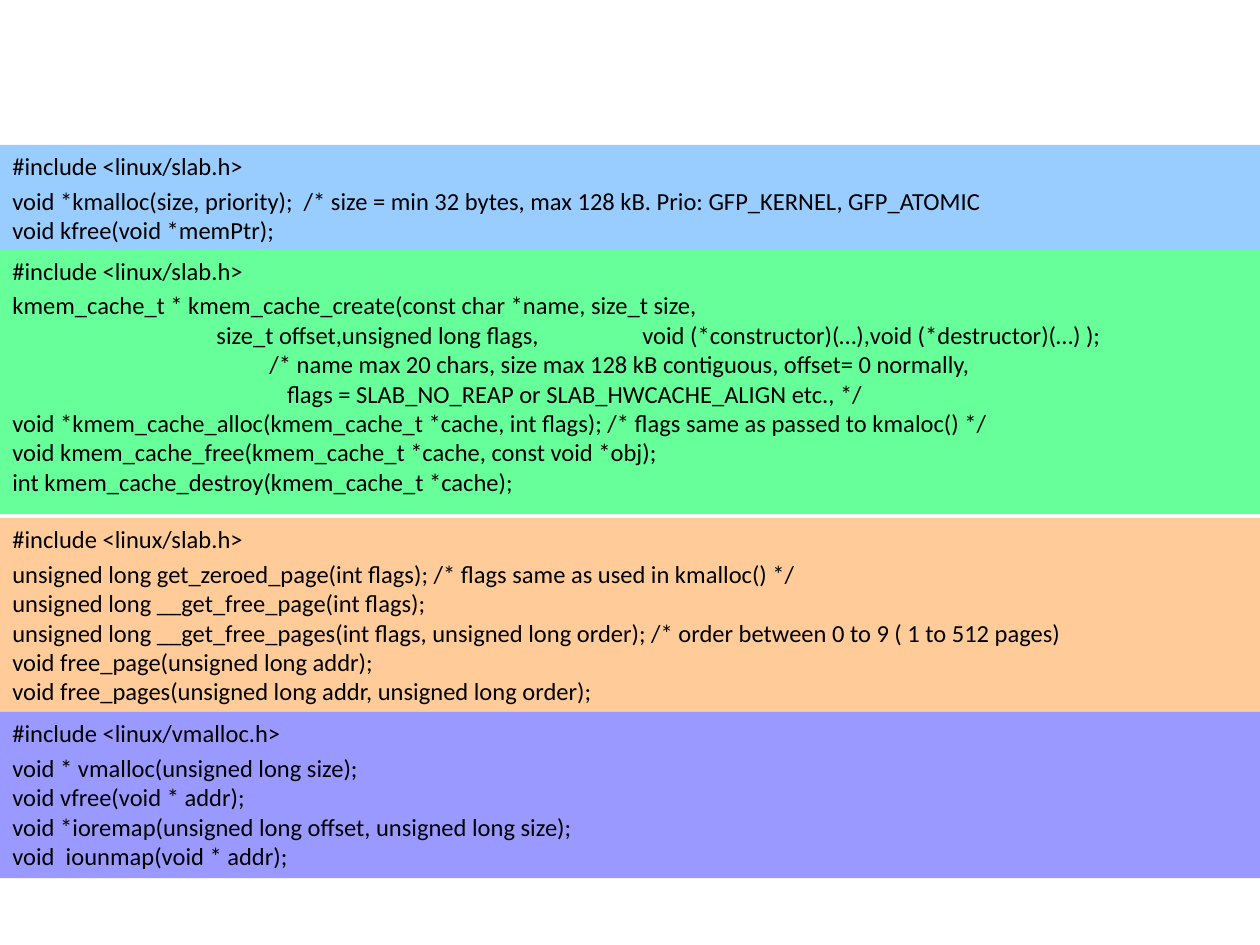
import pptx
import pptx.dml.color
import pptx.enum.shapes
import pptx.enum.text
import pptx.util
from lxml import etree

# Content: top, height, fill, lines of each band
BANDS = [
    (1.15, 0.85, "99CCFF", [
        "#include <linux/slab.h>",
        "void *kmalloc(size, priority);  /* size = min 32 bytes, max 128 kB. Prio: GFP_KERNEL, GFP_ATOMIC",
        "void kfree(void *memPtr);",
    ]),
    (1.98, 2.1, "66FF99", [
        "#include <linux/slab.h>",
        "kmem_cache_t * kmem_cache_create(const char *name, size_t size,",
        ("\tsize_t offset,unsigned long flags,\tvoid (*constructor)(…),void (*destructor)(…) );", 1.62, 5),
        ("\t/* name max 20 chars, size max 128 kB contiguous, offset= 0 normally,", 2.04),
        ("\tflags = SLAB_NO_REAP or SLAB_HWCACHE_ALIGN etc., */", 2.18),
        "void *kmem_cache_alloc(kmem_cache_t *cache, int flags); /* flags same as passed to kmaloc() */",
        "void kmem_cache_free(kmem_cache_t *cache, const void *obj);",
        "int kmem_cache_destroy(kmem_cache_t *cache);",
    ]),
    (4.11, 1.56, "FFCC99", [
        "#include <linux/slab.h>",
        "unsigned long get_zeroed_page(int flags); /* flags same as used in kmalloc() */",
        "unsigned long __get_free_page(int flags);",
        "unsigned long __get_free_pages(int flags, unsigned long order); /* order between 0 to 9 ( 1 to 512 pages)",
        "void free_page(unsigned long addr);",
        "void free_pages(unsigned long addr, unsigned long order);",
    ]),
    (5.65, 1.32, "9999FF", [
        "#include <linux/vmalloc.h>",
        "void * vmalloc(unsigned long size);",
        "void vfree(void * addr);",
        "void *ioremap(unsigned long offset, unsigned long size);",
        "void  iounmap(void * addr);",
    ]),
]
inch = pptx.util.Inches


def color(value):
    return pptx.dml.color.RGBColor.from_string(value)


def set_tabs(paragraph, stops):
    namespace = "{http://schemas.openxmlformats.org/drawingml/2006/main}"
    tabs = etree.SubElement(paragraph._p.get_or_add_pPr(), namespace + "tabLst")
    for stop in stops:
        etree.SubElement(tabs, namespace + "tab", pos=str(inch(stop)), algn="l")


def add_band(page, top, height, fill, lines):
    band = page.shapes.add_shape(pptx.enum.shapes.MSO_SHAPE.RECTANGLE,
                                 0, inch(top), deck.slide_width, inch(height))
    band.shadow.inherit = False
    band.fill.solid()
    band.fill.fore_color.rgb = color(fill)
    band.line.fill.background()
    frame = band.text_frame
    frame.word_wrap = True
    frame.vertical_anchor = pptx.enum.text.MSO_ANCHOR.TOP
    for number, line in enumerate(lines):
        text, *stops = (line,) if isinstance(line, str) else line
        paragraph = frame.add_paragraph() if number else frame.paragraphs[0]
        paragraph.text = text
        paragraph.alignment = pptx.enum.text.PP_ALIGN.LEFT
        # Only the include line and the first declaration have space above
        paragraph.space_before = pptx.util.Pt(3 if number < 2 else 0)
        if stops:
            set_tabs(paragraph, stops)
        font = paragraph.font
        font.name = "Calibri"
        font.size = pptx.util.Pt(14)
        font.color.rgb = color("000000")


# Page
deck = pptx.Presentation()
deck.slide_width, deck.slide_height = inch(10), inch(7.5)
page = deck.slides.add_slide(deck.slide_layouts[6])
for band_data in BANDS:
    add_band(page, *band_data)
deck.save("out.pptx")
